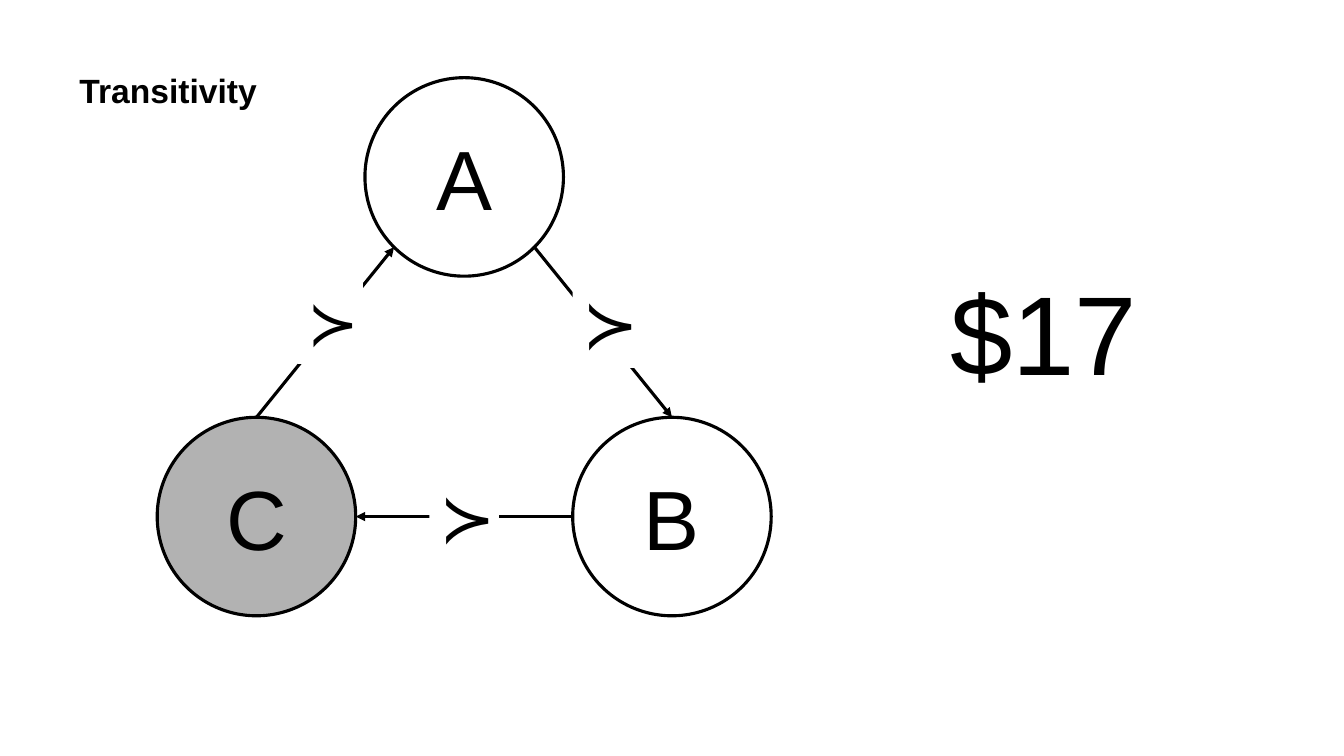
from dataclasses import dataclass
from math import sqrt

from lxml.etree import SubElement
from pptx import Presentation
from pptx.dml.color import RGBColor as Rgb
from pptx.enum.shapes import MSO_CONNECTOR as Conn, MSO_SHAPE as Kind
from pptx.enum.text import MSO_ANCHOR as Anchor, MSO_AUTO_SIZE as Fit, PP_ALIGN as Align
from pptx.oxml.ns import qn
from pptx.util import Pt


@dataclass(frozen=True)
class Theme:
    font: str = "Arial"
    ink: Rgb = Rgb(0, 0, 0)
    paper: Rgb = Rgb(255, 255, 255)
    gray: Rgb = Rgb(0xB2, 0xB2, 0xB2)
    line: float = 2.25
    title: int = 24
    node: int = 60
    price: int = 80
    small: int = 44
    sign: int = 48


@dataclass(frozen=True)
class Node:
    name: str
    x: float
    y: float
    fill: Rgb | None = None


@dataclass(frozen=True)
class Arrow:
    start: tuple[float, float]
    end: tuple[float, float]


@dataclass(frozen=True)
class Label:
    text: str
    left: float
    top: float
    width: float
    height: float
    size: int
    fill: Rgb | None = None


THEME = Theme()
RADIUS = 70.9
DIAG = RADIUS / sqrt(2)

A = Node("A", 331.6, 126.4)
B = Node("B", 480, 369)
C = Node("C", 183.2, 369, THEME.gray)
NODES = [A, C, B]

ARROWS = [
    Arrow((A.x + DIAG, A.y + DIAG), (B.x, B.y - RADIUS)),
    Arrow((C.x, C.y - RADIUS), (A.x - DIAG, A.y + DIAG)),
    Arrow((B.x - RADIUS, B.y), (C.x + RADIUS, C.y)),
]

PRICE = Label("$17", 671.8, 185, 149, 104.4, THEME.price)
SIGNS = [
    Label("≻", 212.4, 199.4, 46.8, 60.5, THEME.small, THEME.paper),
    Label("≻", 409, 197.3, 49.7, 65.5, THEME.sign, THEME.paper),
    Label("≻", 306.7, 336.2, 49.7, 65.5, THEME.sign, THEME.paper),
]
TITLE = Label("Transitivity", 49.7, 46.1, 812.9, 36.7, THEME.title)


def style(frame, text: str, size: int, bold: bool = False) -> None:
    frame.text = text
    font = frame.paragraphs[0].runs[0].font
    font.name = THEME.font
    font.size = Pt(size)
    font.bold = bold
    font.color.rgb = THEME.ink


def draw_node(shapes, node: Node) -> None:
    disc = shapes.add_shape(Kind.OVAL, Pt(node.x - RADIUS), Pt(node.y - RADIUS),
                            Pt(2 * RADIUS), Pt(2 * RADIUS))
    disc.shadow.inherit = False
    if node.fill is None:
        disc.fill.background()
    else:
        disc.fill.solid()
        disc.fill.fore_color.rgb = node.fill
    disc.line.color.rgb = THEME.ink
    disc.line.width = Pt(THEME.line)
    frame = disc.text_frame
    style(frame, node.name, THEME.node)
    frame.vertical_anchor = Anchor.MIDDLE
    frame.paragraphs[0].alignment = Align.CENTER


def draw_arrow(shapes, arrow: Arrow) -> None:
    (x1, y1), (x2, y2) = arrow.start, arrow.end
    link = shapes.add_connector(Conn.STRAIGHT, Pt(x1), Pt(y1), Pt(x2), Pt(y2))
    link.line.color.rgb = THEME.ink
    link.line.width = Pt(THEME.line)
    SubElement(link.line._get_or_add_ln(), qn("a:tailEnd"), type="triangle")
    SubElement(link._element.spPr, qn("a:effectLst"))


def draw_label(shapes, label: Label, bold: bool = False):
    box = shapes.add_textbox(Pt(label.left), Pt(label.top),
                             Pt(label.width), Pt(label.height))
    if label.fill is not None:
        box.fill.solid()
        box.fill.fore_color.rgb = label.fill
    frame = box.text_frame
    style(frame, label.text, label.size, bold)
    frame.word_wrap = False
    frame.auto_size = Fit.SHAPE_TO_FIT_TEXT
    return frame


def draw_title(shapes) -> None:
    frame = draw_label(shapes, TITLE, bold=True)
    frame.word_wrap = True
    frame.auto_size = Fit.NONE
    frame.vertical_anchor = Anchor.BOTTOM
    frame.paragraphs[0].line_spacing = 0.9


def main() -> None:
    deck = Presentation()
    deck.slide_width, deck.slide_height = Pt(960), Pt(540)
    shapes = deck.slides.add_slide(deck.slide_layouts[6]).shapes
    for node in NODES:
        draw_node(shapes, node)
    draw_label(shapes, PRICE)
    for arrow in ARROWS:
        draw_arrow(shapes, arrow)
    for sign in SIGNS:
        draw_label(shapes, sign)
    draw_title(shapes)
    deck.save("out.pptx")


if __name__ == "__main__":
    main()
